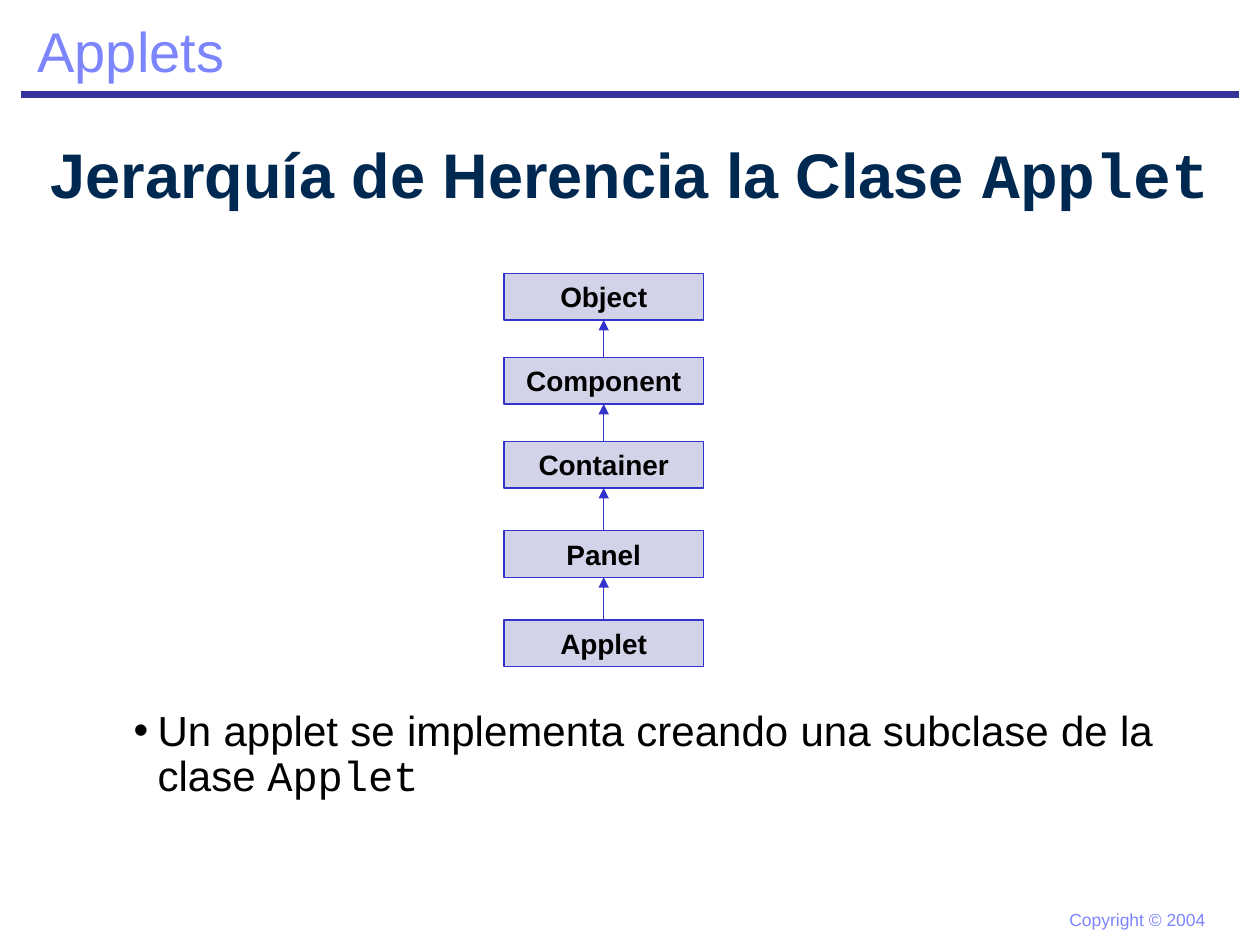
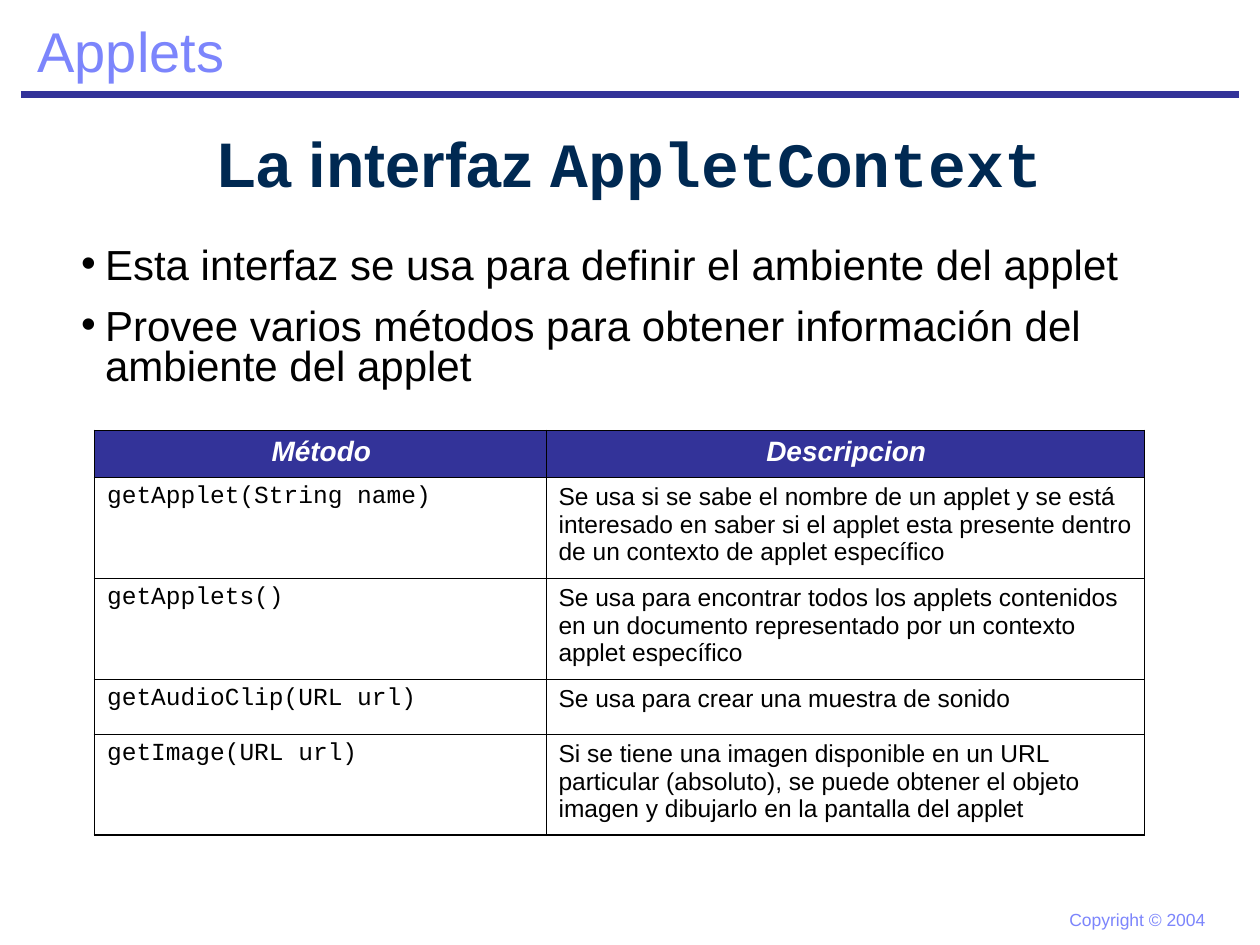
from itertools import pairwise

from lxml import etree
from pptx import Presentation
from pptx.dml.color import RGBColor
from pptx.enum.shapes import MSO_CONNECTOR, MSO_SHAPE
from pptx.enum.text import MSO_ANCHOR, PP_ALIGN
from pptx.oxml.ns import qn
from pptx.util import Pt

STRAIGHT, RECT = MSO_CONNECTOR.STRAIGHT, MSO_SHAPE.RECTANGLE
TOP, MIDDLE = MSO_ANCHOR.TOP, MSO_ANCHOR.MIDDLE
LEFT, CENTER, JUSTIFY = PP_ALIGN.LEFT, PP_ALIGN.CENTER, PP_ALIGN.JUSTIFY

INDIGO = RGBColor(0x33, 0x33, 0x99)
BLUE = RGBColor(0x33, 0x33, 0xCC)
LAVENDER = RGBColor(0x7C, 0x85, 0xFC)
NAVY = RGBColor(0x00, 0x29, 0x52)
BLACK = RGBColor(0x00, 0x00, 0x00)
WHITE = RGBColor(0xFF, 0xFF, 0xFF)
SANS, MONO = "Arial", "Courier New"

# Text is a list of paragraphs; a paragraph is a list of (text, font) runs.
COURSE = [[("Applets", SANS)]]
COPYRIGHT = [[("Copyright © 2004", SANS)]]

HIERARCHY_TITLE = [[("Jerarquía de Herencia la Clase ", SANS), ("Applet", MONO)]]
CLASSES = [("Object", 156.3), ("Component", 204.3), ("Container", 252.3),
           ("Panel", 303.3), ("Applet", 354.3)]  # name, top
HIERARCHY_NOTES = [[("Un applet se implementa creando una subclase de la clase ", SANS),
                    ("Applet", MONO)]]

CONTEXT_TITLE = [[("La interfaz ", SANS), ("AppletContext", MONO)]]
CONTEXT_NOTES = [
    [("Esta interfaz se usa para definir el ambiente del applet", SANS)],
    [("Provee varios métodos para obtener información del ambiente del applet", SANS)],
]
METHODS = [
    ("Método", "Descripcion"),
    ("getApplet(String name)",
     "Se usa si se sabe el nombre de un applet y se está interesado en saber "
     "si el applet esta presente dentro de un contexto de applet específico"),
    ("getApplets()",
     "Se usa para encontrar todos los applets contenidos en un documento "
     "representado por un contexto applet específico"),
    ("getAudioClip(URL url)", "Se usa para crear una muestra de sonido"),
    ("getImage(URL url)",
     "Si se tiene una imagen disponible en un URL particular (absoluto), se puede "
     "obtener el objeto imagen y dibujarlo en la pantalla del applet"),
]
COLUMN_WIDTHS = [258, 342]
ROW_HEIGHTS = [26.7, 57.7, 57.7, 31.4, 57.7]

BOX_LEFT, BOX_W, BOX_H = 288, 114, 26.6

TITLE_FONT = dict(size=Pt(36), bold=True)
BODY_FONT = dict(size=Pt(24))
BOX_FONT = dict(size=Pt(16), bold=True)
HEAD_FONT = dict(size=Pt(16), bold=True, italic=True)
CELL_FONT = dict(size=Pt(14))
CELL_MARGINS = dict(margin_left=Pt(7.2), margin_right=Pt(6),
                    margin_top=Pt(3.6), margin_bottom=Pt(3.6))


def set_all(target, values):
    for name, value in values.items():
        setattr(target, name, value)


def write(tf, paragraphs, font, color, **layout):
    for i, runs in enumerate(paragraphs):
        p = tf.paragraphs[0] if i == 0 else tf.add_paragraph()
        set_all(p, layout)
        for text, name in runs:
            r = p.add_run()
            r.text = text
            set_all(r.font, dict(font, name=name))
            r.font.color.rgb = color


def add_text(slide, box, paragraphs, font, color, anchor=TOP, **layout):
    tf = slide.shapes.add_textbox(*map(Pt, box)).text_frame
    set_all(tf, dict(word_wrap=True, vertical_anchor=anchor))
    write(tf, paragraphs, font, color, **layout)
    return tf


def add_bullets(slide, box, paragraphs, margin, hang, **layout):
    tf = add_text(slide, box, paragraphs, BODY_FONT, BLACK, **layout)
    for p in tf.paragraphs:
        pPr = p._p.get_or_add_pPr()
        pPr.set("marL", str(Pt(margin)))
        pPr.set("indent", str(-Pt(hang)))
        etree.SubElement(pPr, qn("a:buFont"), typeface=SANS)
        etree.SubElement(pPr, qn("a:buChar"), char="•")


def add_line(slide, start, end, color, width):
    sp = slide.shapes.add_connector(STRAIGHT, *map(Pt, (*start, *end)))
    sp.line.color.rgb = color
    sp.line.width = Pt(width)
    etree.SubElement(sp._element.spPr, qn("a:effectLst"))
    return sp


def add_slide(prs, title, title_top, title_height):
    """Add a slide with the shared rule, course name, copyright and title."""
    slide = prs.slides.add_slide(prs.slide_layouts[6])
    add_line(slide, (12, 54), (708, 54), INDIGO, 4.5)
    add_text(slide, (604, 516, 100, 19.4), COPYRIGHT, dict(size=Pt(10)), LAVENDER)
    add_text(slide, (14.4, 6, 130, 46), COURSE, dict(size=Pt(32)), LAVENDER)
    add_text(slide, (0, title_top, 720, title_height), title, TITLE_FONT, NAVY,
             anchor=MIDDLE, alignment=CENTER)
    return slide


def add_class_box(slide, name, top):
    sp = slide.shapes.add_shape(RECT, *map(Pt, (BOX_LEFT, top, BOX_W, BOX_H)))
    sp.shadow.inherit = False
    sp.fill.solid()
    sp.fill.fore_color.rgb = INDIGO
    tint = sp._element.spPr.find(qn("a:solidFill"))[0]
    etree.SubElement(tint, qn("a:alpha"), val="22000")
    sp.line.color.rgb = BLUE
    sp.line.width = Pt(0.75)
    sp.text_frame.vertical_anchor = MIDDLE
    write(sp.text_frame, [[(name, SANS)]], BOX_FONT, BLACK, alignment=CENTER)


def add_inheritance_arrow(slide, child_top, parent_top):
    x = BOX_LEFT + BOX_W / 2
    sp = add_line(slide, (x, child_top), (x, parent_top + BOX_H), BLUE, 0.75)
    etree.SubElement(sp.line._get_or_add_ln(), qn("a:tailEnd"), type="triangle")


def set_borders(cell, outer_edges):
    """Draw the four cell borders, thicker on the outer edges of the table."""
    tcPr = cell._tc.get_or_add_tcPr()
    for i, edge in enumerate("LRTB"):
        width = Pt(1.08 if edge in outer_edges else 0.45)
        ln = etree.Element(qn(f"a:ln{edge}"), w=str(width))
        fill = etree.SubElement(ln, qn("a:solidFill"))
        etree.SubElement(fill, qn("a:srgbClr"), val=str(BLACK))
        tcPr.insert(i, ln)


def add_method_table(slide, left, top):
    rows, cols = len(METHODS), len(COLUMN_WIDTHS)
    size = sum(COLUMN_WIDTHS), sum(ROW_HEIGHTS)
    table = slide.shapes.add_table(rows, cols, *map(Pt, (left, top, *size))).table
    set_all(table, dict(first_row=False, horz_banding=False))
    for column, width in zip(table.columns, COLUMN_WIDTHS):
        column.width = Pt(width)
    for row, height in zip(table.rows, ROW_HEIGHTS):
        row.height = Pt(height)
    for r, texts in enumerate(METHODS):
        for c, text in enumerate(texts):
            cell = table.cell(r, c)
            set_all(cell, CELL_MARGINS)
            if r == 0:
                cell.fill.solid()
                cell.fill.fore_color.rgb = INDIGO
                write(cell.text_frame, [[(text, SANS)]], HEAD_FONT, WHITE,
                      alignment=CENTER, space_before=Pt(4))
            else:
                cell.fill.background()
                write(cell.text_frame, [[(text, SANS if c else MONO)]], CELL_FONT, BLACK,
                      alignment=LEFT, space_before=Pt(3.5))
            outer = {"L": c == 0, "R": c == cols - 1, "T": r == 0, "B": r == rows - 1}
            set_borders(cell, [edge for edge, is_outer in outer.items() if is_outer])


def main():
    prs = Presentation()
    prs.slide_width, prs.slide_height = Pt(720), Pt(540)

    slide = add_slide(prs, HIERARCHY_TITLE, 72, 54)
    add_bullets(slide, (48, 402.3, 618, 102), HIERARCHY_NOTES, 35, 13.7,
                alignment=JUSTIFY, line_spacing=0.9, space_before=Pt(18))
    for name, top in CLASSES:
        add_class_box(slide, name, top)
    for (_, parent_top), (_, child_top) in pairwise(CLASSES):
        add_inheritance_arrow(slide, child_top, parent_top)

    slide = add_slide(prs, CONTEXT_TITLE, 60, 66)
    add_bullets(slide, (30, 138.2, 660, 102), CONTEXT_NOTES, 23, 13.7,
                line_spacing=0.8, space_before=Pt(12))
    add_method_table(slide, 54, 246)

    prs.save("out.pptx")


if __name__ == "__main__":
    main()
